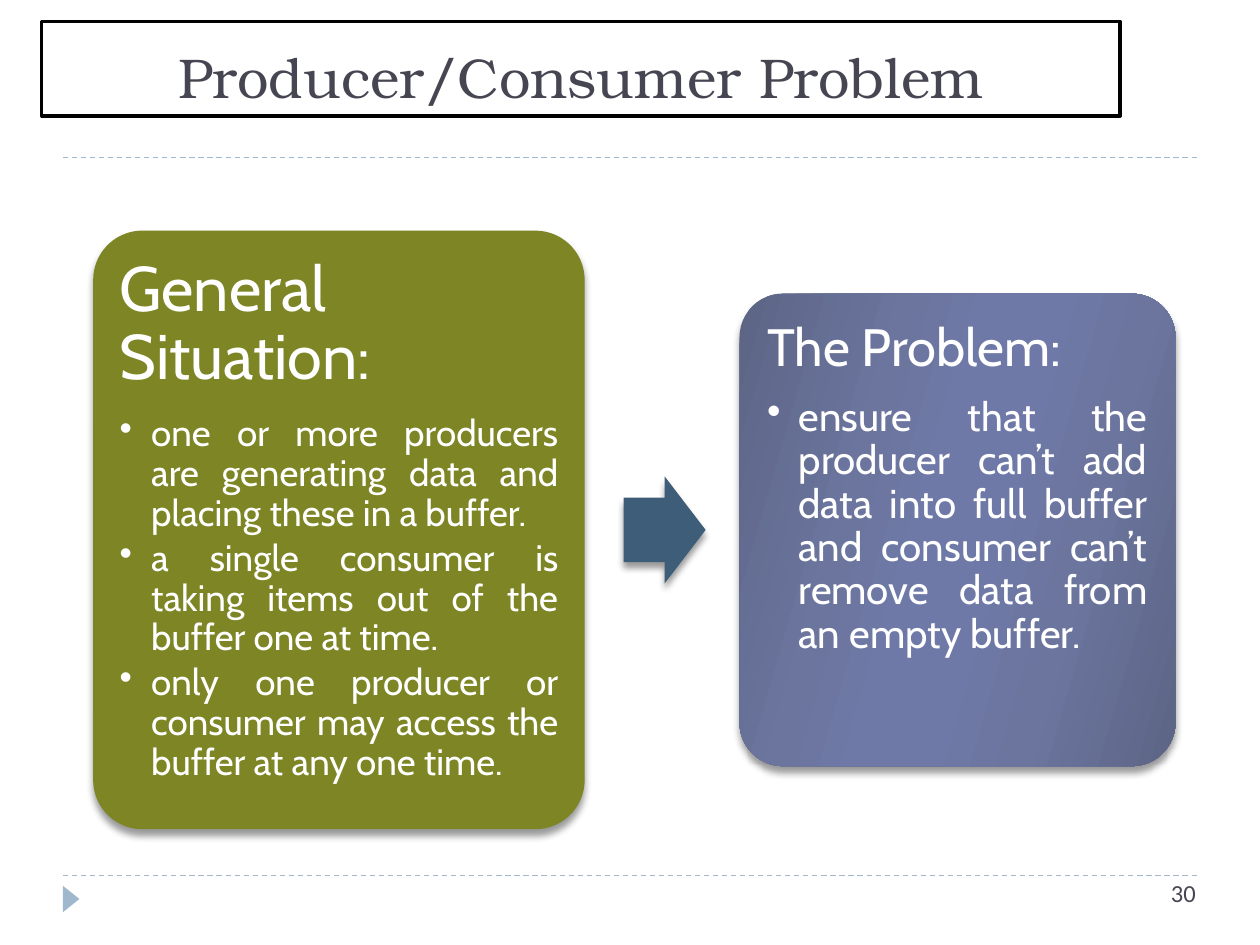
import pptx
import pptx.util
import pptx.dml.color
import pptx.enum.shapes
import pptx.enum.text
import pptx.oxml
import pptx.oxml.ns

Pt = pptx.util.Pt
SHAPE = pptx.enum.shapes.MSO_SHAPE
ALIGN = pptx.enum.text.PP_ALIGN
ANCHOR = pptx.enum.text.MSO_ANCHOR
NS = pptx.oxml.ns.nsdecls("a")
COLORS = {"rule": "9FB8CD", "ink": "464653", "black": "000000", "white": "FFFFFF",
          "green": "7D8525", "arrow": "3E5D78",
          "edge": "5D6585", "mid": "6B759E", "core": "6E79A7"}
GRADIENT = [(0, "edge"), (30, "mid"), (45, "core"), (55, "core"), (73, "mid"), (100, "edge")]
SHADOW = (f'<a:effectLst {NS}><a:outerShdw blurRad="{Pt(4)}" dist="{Pt(3.4)}" dir="5400000" '
          f'rotWithShape="0"><a:srgbClr val="{COLORS["black"]}"><a:alpha val="40000"/>'
          '</a:srgbClr></a:outerShdw></a:effectLst>')


def rgb(name):
    return pptx.dml.color.RGBColor.from_string(COLORS[name])


def add_text(p, text, size, font, color):
    r = p.add_run()
    r.text = text
    for key, value in {"size": Pt(size), "name": font}.items():
        setattr(r.font, key, value)
    r.font.color.rgb = rgb(color)


prs = pptx.Presentation()
prs.slide_width, prs.slide_height = Pt(720), Pt(540)
s = prs.slides.add_slide(prs.slide_layouts[6])

# Dashed rules
for y in (500.4, 90):
    rule = s.shapes.add_connector(pptx.enum.shapes.MSO_CONNECTOR.STRAIGHT,
                                  Pt(36), Pt(y), Pt(684), Pt(y))
    rule.line.color.rgb = rgb("rule")
    rule.line.width = Pt(0.75)
    rule.line.dash_style = pptx.enum.dml.MSO_LINE.DASH
    rule._element.spPr.append(pptx.oxml.parse_xml(f"<a:effectLst {NS}/>"))

# Footer marker and slide number
marker = s.shapes.add_shape(SHAPE.ISOSCELES_TRIANGLE, Pt(33.1), Pt(509), Pt(15.1), Pt(9.4))
marker.rotation = 90
marker.shadow.inherit = False
marker.fill.solid()
marker.fill.fore_color.rgb = rgb("rule")
marker.line.fill.background()

number = s.shapes.add_textbox(Pt(534.2), Pt(498.2), Pt(156.2), Pt(28.8))
number.text_frame.word_wrap = True
p = number.text_frame.paragraphs[0]
p.alignment = ALIGN.RIGHT
add_text(p, "30", 14, "Calibri", "ink")

# Title
title = s.shapes.add_shape(SHAPE.RECTANGLE, Pt(23.8), Pt(12.2), Pt(616.3), Pt(54))
title.shadow.inherit = False
title.fill.background()
title.line.color.rgb = rgb("black")
title.line.width = Pt(2)
tf = title.text_frame
tf.vertical_anchor = ANCHOR.BOTTOM
p = tf.paragraphs[0]
p.alignment = ALIGN.CENTER
add_text(p, "Producer/Consumer Problem", 32, "TeX Gyre Bonum", "ink")

# Two cards and the arrow between them
BLOCKS = [
    {"kind": SHAPE.ROUNDED_RECTANGLE, "box": (53.3, 131.8, 280.8, 342), "adj": (0.1,),
     "fill": "green", "pad": 8.6, "inset": 6.5, "sizes": (36, 21),
     "heading": "General Situation:",
     "bullets": ["one or more producers are generating data and placing these in a buffer.",
                 "a single consumer is taking items out of the buffer one at time.",
                 "only one producer or consumer may access the buffer at any one time."]},
    {"kind": SHAPE.RIGHT_ARROW, "box": (356.4, 272.2, 46.8, 61.2), "adj": (0.6, 0.5),
     "fill": "arrow"},
    {"kind": SHAPE.ROUNDED_RECTANGLE, "box": (422.6, 167.8, 249.1, 270), "adj": (0.1,),
     "fill": None, "pad": 7.2, "inset": 8.6, "sizes": (30, 23),
     "heading": "The Problem:",
     "bullets": ["ensure that the producer can’t add data into full buffer and consumer "
                 "can’t remove data from an empty buffer."]},
]
for block in BLOCKS:
    x, y, w, h = block["box"]
    sp = s.shapes.add_shape(block["kind"], Pt(x), Pt(y), Pt(w), Pt(h))
    for i, value in enumerate(block["adj"]):
        sp.adjustments[i] = value
    sp.line.fill.background()
    if block["fill"]:
        sp.fill.solid()
        sp.fill.fore_color.rgb = rgb(block["fill"])
    else:
        stops = "".join(f'<a:gs pos="{pos * 1000}"><a:srgbClr val="{COLORS[c]}"/></a:gs>'
                        for pos, c in GRADIENT)
        sp._element.spPr.find(pptx.oxml.ns.qn("a:ln")).addprevious(pptx.oxml.parse_xml(
            f'<a:gradFill {NS} rotWithShape="1"><a:gsLst>{stops}</a:gsLst>'
            f'<a:lin ang="{16 * 60000}" scaled="0"/></a:gradFill>'))
    sp._element.spPr.append(pptx.oxml.parse_xml(SHADOW))
    if "heading" not in block:
        continue

    pad = block["pad"]
    tf = s.shapes.add_textbox(Pt(x + pad), Pt(y + pad),
                              Pt(w - 2 * pad), Pt(h - 2 * pad)).text_frame
    tf.word_wrap = True
    for side in ("left", "top", "right", "bottom"):
        setattr(tf, f"margin_{side}", Pt(block["inset"]))
    heading_size, bullet_size = block["sizes"]
    p = tf.paragraphs[0]
    p.line_spacing = 0.9
    p.space_after = Pt(round(heading_size * 0.35, 1))
    add_text(p, block["heading"], heading_size, "Cabin", "white")
    for text in block["bullets"]:
        p = tf.add_paragraph()
        for key, value in {"level": 1, "alignment": ALIGN.JUSTIFY, "line_spacing": 0.9,
                           "space_after": Pt(round(bullet_size * 0.15, 1))}.items():
            setattr(p, key, value)
        pPr = p._p.get_or_add_pPr()
        pPr.set("marL", str(Pt(18)))
        pPr.set("indent", str(-Pt(18)))
        pPr.append(pptx.oxml.parse_xml(f'<a:buChar {NS} char="•"/>'))
        add_text(p, text, bullet_size, "Cabin", "white")

prs.save("out.pptx")
